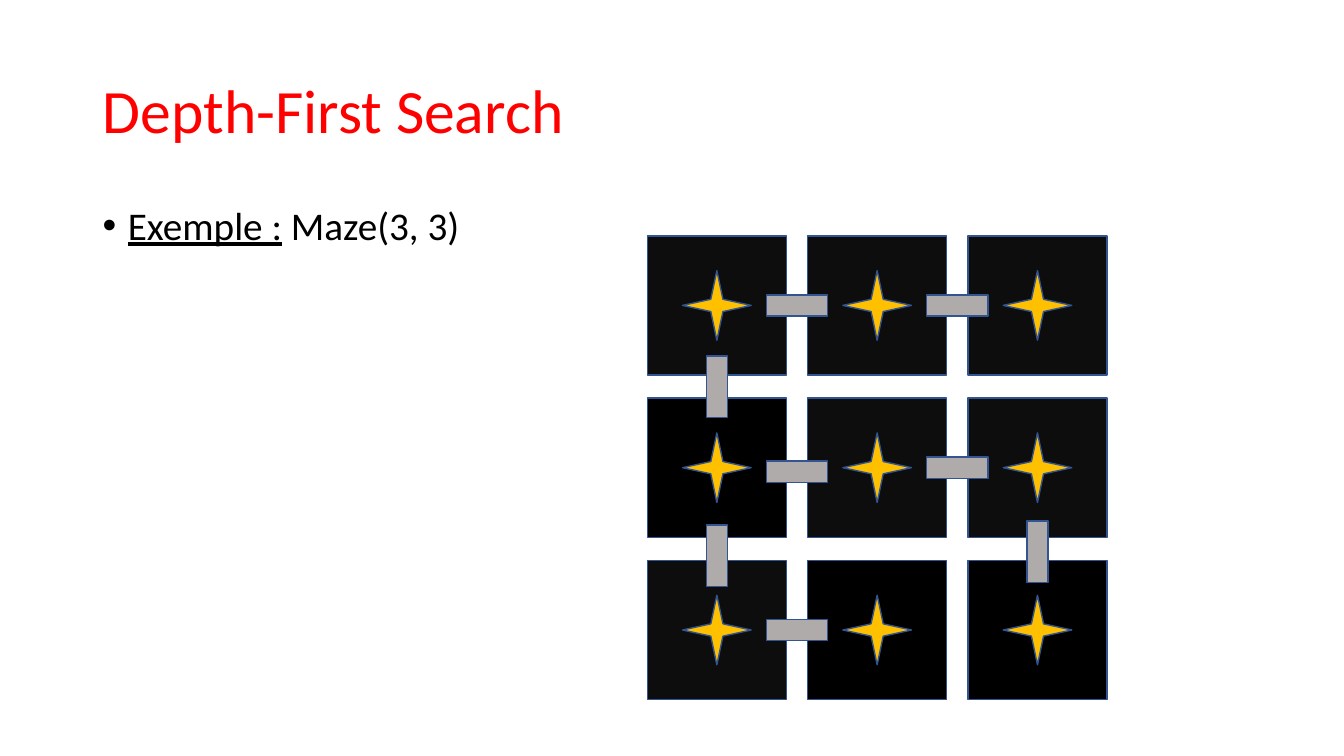
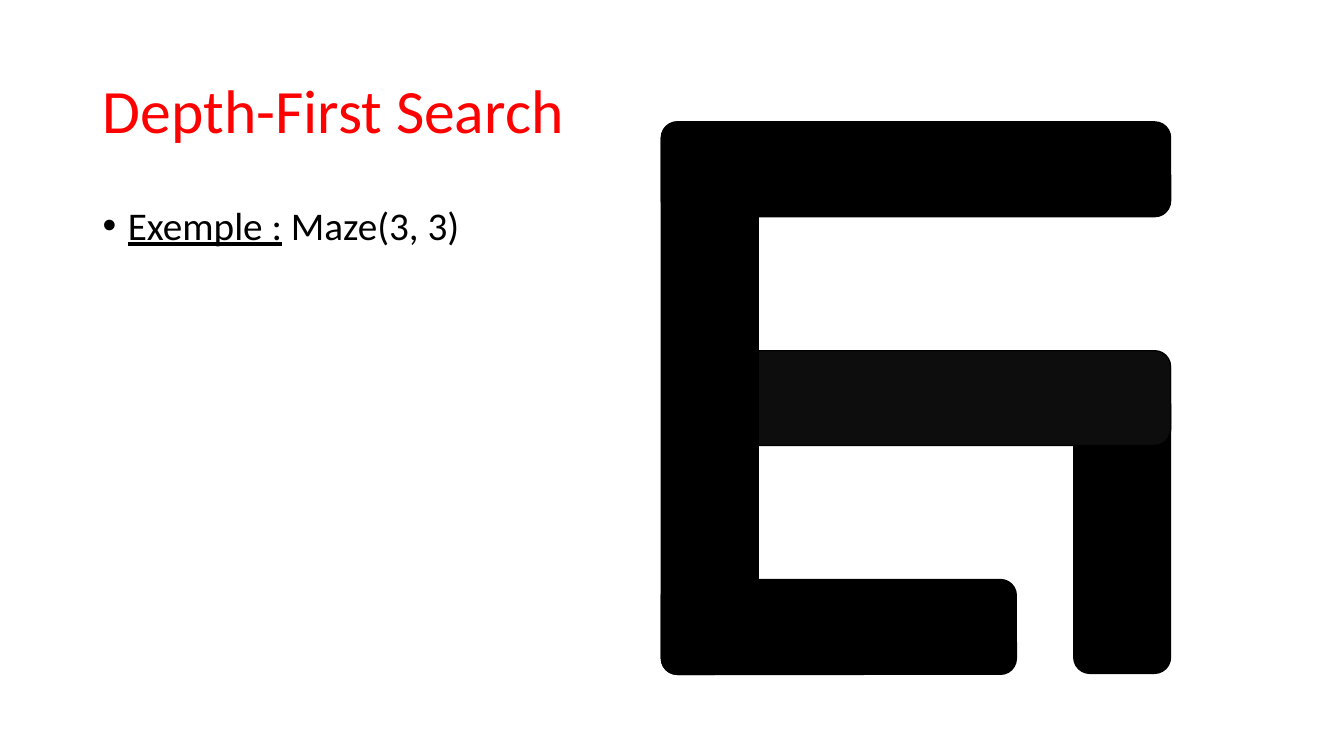
from dataclasses import dataclass

from lxml.etree import SubElement
from pptx import Presentation
from pptx.dml.color import RGBColor
from pptx.enum.shapes import MSO_SHAPE
from pptx.enum.text import MSO_ANCHOR, MSO_AUTO_SIZE, PP_ALIGN
from pptx.oxml.ns import qn
from pptx.slide import Slide
from pptx.util import Inches, Pt

RED, BLACK, COAL = "FF0000", "000000", "0D0D0D"
GOLD, GREY, BLUE = "FFC000", "AFABAB", "325491"
TITLE = {"size": Pt(44), "name": "Calibri"}
BODY = {"size": Pt(28), "name": "Calibri"}

# Maze grid: centre of the first room, steps between rooms, sizes
LEFT, TOP = 7.11, 3.03
STEP_X, STEP_Y = 1.59, 1.61
ROOM, STAR_W, STAR_H = 1.38, 0.68, 0.69
LONG, THIN = 0.61, 0.21
ROOMS = [
    [COAL, COAL, COAL],
    [BLACK, COAL, COAL],
    [COAL, BLACK, BLACK],
]


@dataclass
class Link:
    """Passage from a room to its right or lower neighbour."""
    row: int
    col: int
    down: bool = False
    nudge: float = 0


@dataclass
class Bar:
    x: float
    y: float
    w: float
    h: float
    fill: str = BLACK


LINKS = [
    Link(1, 2, True, 0.03),
    Link(1, 0, True, 0.07),
    Link(0, 0, True),
    Link(1, 0, nudge=0.04),
    Link(2, 0),
    Link(1, 1),
    Link(0, 0),
    Link(0, 1),
]

BARS = [
    Bar(10.65, 3.49, 0.96, 3.19),
    Bar(6.96, 3.48, 4.65, 0.94, COAL),
    Bar(6.56, 1.21, 0.96, 5.48),
    Bar(6.56, 5.75, 3.52, 0.94),
    Bar(6.56, 1.21, 5.05, 0.94),
]


def color(code: str) -> RGBColor:
    return RGBColor.from_string(code)


def style(font, look: dict, code: str) -> None:
    for key, value in look.items():
        setattr(font, key, value)
    font.color.rgb = color(code)


def draw(slide: Slide, kind: MSO_SHAPE, bar: Bar, edge: str) -> None:
    box = (Inches(n) for n in (bar.x, bar.y, bar.w, bar.h))
    shape = slide.shapes.add_shape(kind, *box)
    shape.shadow.inherit = False
    shape.fill.solid()
    shape.fill.fore_color.rgb = color(bar.fill)
    shape.line.color.rgb = color(edge)
    shape.line.width = Pt(1)


def center(slide: Slide, kind: MSO_SHAPE, x: float, y: float,
           w: float, h: float, fill: str) -> None:
    draw(slide, kind, Bar(x - w / 2, y - h / 2, w, h, fill), BLUE)


def spot(row: float, col: float) -> tuple[float, float]:
    return LEFT + col * STEP_X, TOP + row * STEP_Y


def start(deck) -> Slide:
    """Add a slide with the shared title and bullet."""
    slide = deck.slides.add_slide(deck.slide_layouts[5])
    title = slide.shapes.title
    title.left, title.top = Inches(0.92), Inches(0.4)
    title.width, title.height = Inches(11.5), Inches(1.45)
    frame = title.text_frame
    frame.auto_size = MSO_AUTO_SIZE.NONE
    frame.vertical_anchor = MSO_ANCHOR.MIDDLE
    line = frame.paragraphs[0]
    line.alignment = PP_ALIGN.LEFT
    line.line_spacing = 0.9
    run = line.add_run()
    run.text = "Depth-First Search"
    style(run.font, TITLE, RED)

    # Bulleted example
    frame = slide.shapes.add_textbox(
        Inches(0.92), Inches(2), Inches(3.88), Inches(0.59)).text_frame
    frame.word_wrap = True
    line = frame.paragraphs[0]
    line.line_spacing = 0.9
    line.space_before = Pt(10)
    props = line._p.get_or_add_pPr()
    props.set("marL", str(Inches(0.25)))
    props.set("indent", str(Inches(-0.25)))
    SubElement(props, qn("a:buFont"), typeface="Arial")
    SubElement(props, qn("a:buChar"), char="•")
    for text, under in (("Exemple :", True), (" Maze(3, 3)", False)):
        run = line.add_run()
        run.text = text
        style(run.font, BODY | {"underline": under}, BLACK)
    return slide


def graph(slide: Slide) -> None:
    """Rooms, their stars and the passages between them."""
    for row, fills in enumerate(ROOMS):
        for col, fill in enumerate(fills):
            x, y = spot(row, col)
            center(slide, MSO_SHAPE.RECTANGLE, x, y, ROOM, ROOM, fill)
            center(slide, MSO_SHAPE.STAR_4_POINT, x, y, STAR_W, STAR_H, GOLD)
    for link in LINKS:
        if link.down:
            x, y = spot(link.row + 0.5, link.col)
            w, h = THIN, LONG
        else:
            x, y = spot(link.row, link.col + 0.5)
            w, h = LONG, THIN
        center(slide, MSO_SHAPE.RECTANGLE, x, y + link.nudge, w, h, GREY)


def main() -> None:
    deck = Presentation()
    deck.slide_width, deck.slide_height = Inches(13.33), Inches(7.5)
    graph(start(deck))
    # Finished maze
    slide = start(deck)
    for bar in BARS:
        draw(slide, MSO_SHAPE.ROUNDED_RECTANGLE, bar, BLACK)
    deck.save("out.pptx")


if __name__ == "__main__":
    main()
